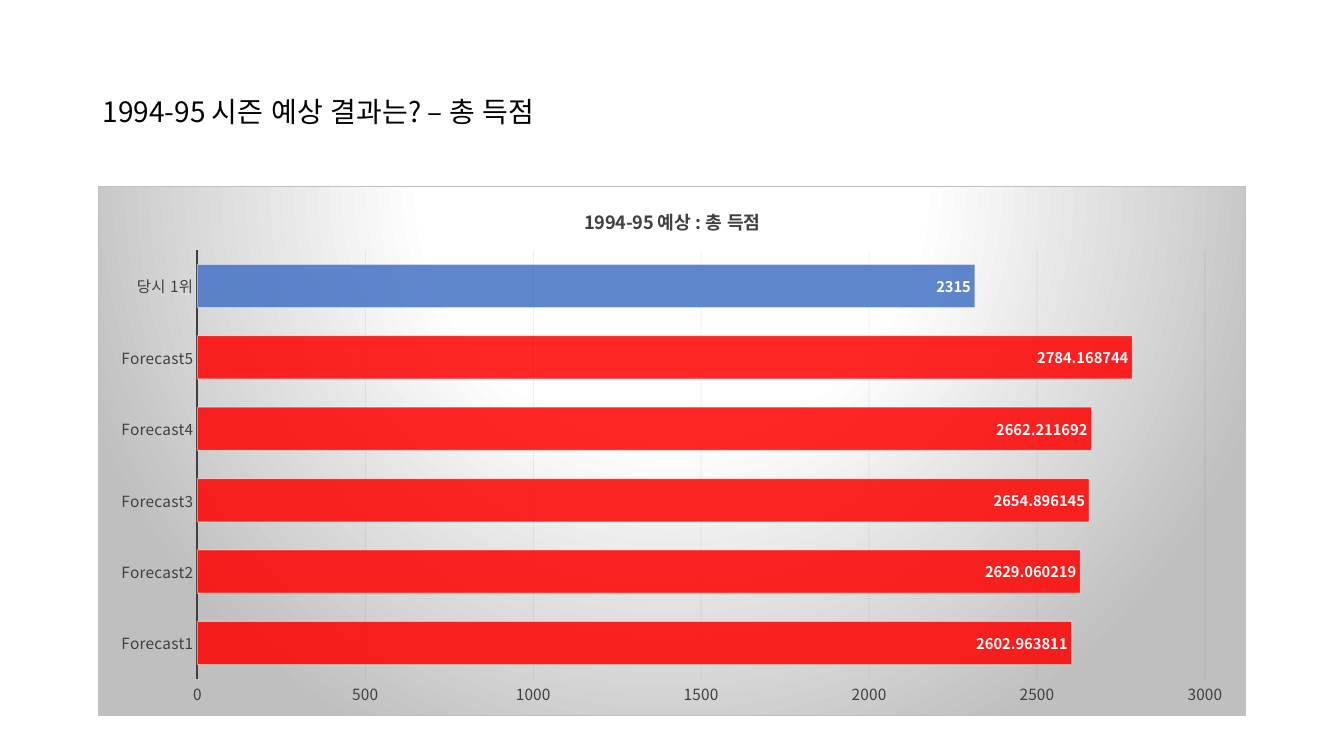
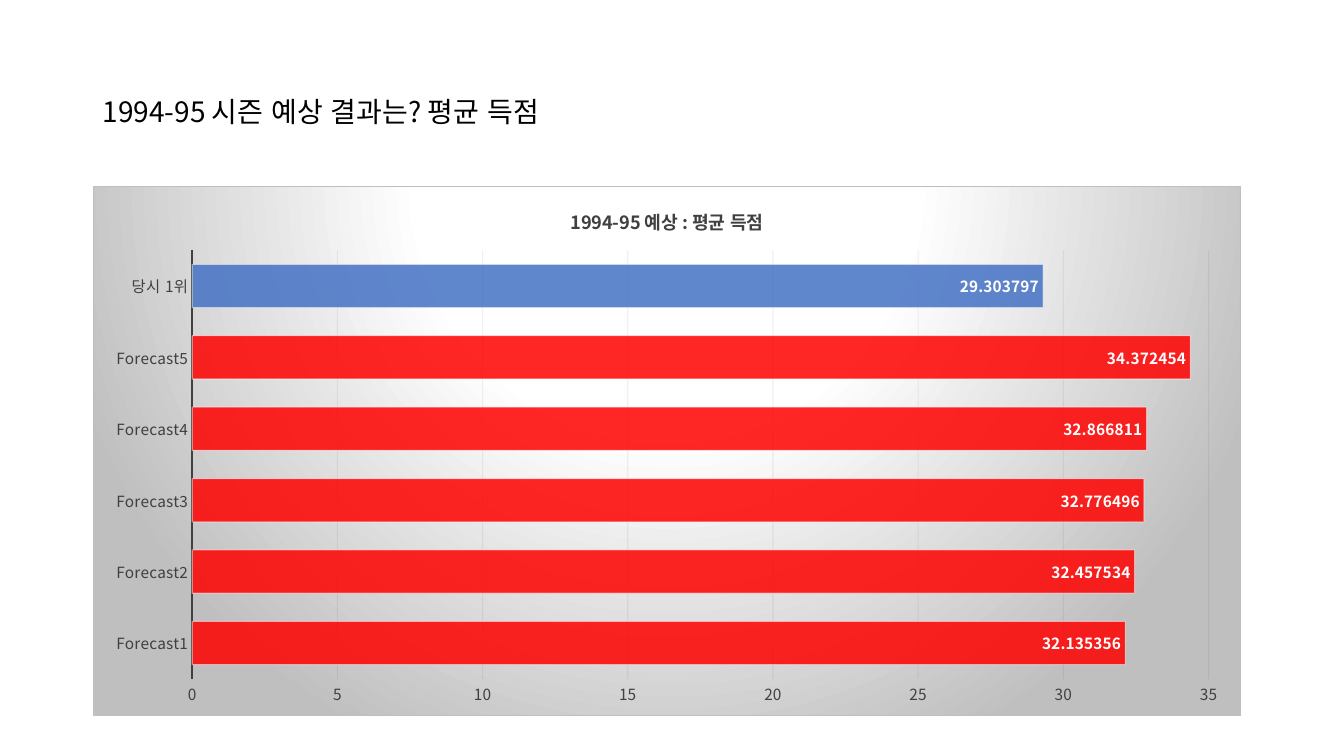
from lxml.etree import SubElement
from pptx import Presentation
from pptx.chart.data import CategoryChartData
from pptx.dml.color import RGBColor
from pptx.enum.chart import XL_CHART_TYPE, XL_LABEL_POSITION, XL_TICK_MARK
from pptx.enum.lang import MSO_LANGUAGE_ID
from pptx.enum.text import MSO_ANCHOR, PP_ALIGN
from pptx.oxml import parse_xml
from pptx.oxml.ns import nsdecls, qn
from pptx.util import Cm, Pt

FONT = "Noto Sans CJK KR"
BLACK, DARK_GREY, WHITE = "000000", "404040", "FFFFFF"
GRID, RED, BLUE = "0D0D0D", "FF0000", "4472C4"
CATEGORIES = ["Forecast1", "Forecast2", "Forecast3", "Forecast4", "Forecast5", "당시 1위"]

# Chart background: light from above, fading to grey
BACKGROUND = f"""<c:spPr {nsdecls("c", "a")}>
  <a:gradFill><a:gsLst>
    <a:gs pos="0"><a:srgbClr val="FFFFFF"/></a:gs>
    <a:gs pos="39000"><a:srgbClr val="FFFFFF"/></a:gs>
    <a:gs pos="100000"><a:srgbClr val="BFBFBF"/></a:gs>
  </a:gsLst><a:path path="circle">
    <a:fillToRect l="50000" t="-80000" r="50000" b="180000"/>
  </a:path></a:gradFill>
  <a:ln w="9525"><a:solidFill><a:srgbClr val="BFBFBF"/></a:solidFill></a:ln>
</c:spPr>"""

# title, chart title, chart left (cm), label size, axis maximum, axis step, values
SLIDES = [
    ("1994-95 시즌 예상 결과는? – 총 득점", "1994-95 예상 : 총 득점", 2.47, 10.5, 3000, 500,
     [2602.963811, 2629.060219, 2654.896145, 2662.211692, 2784.168744, 2315]),
    ("1994-95 시즌 예상 결과는? 평균 득점", "1994-95 예상 : 평균 득점", 2.34, 11, 35, 5,
     [32.135356, 32.457534, 32.776496, 32.866811, 34.372454, 29.303797]),
]


def set_font(font, size, color, bold=False):
    font.name = FONT
    font.size = Pt(size)
    font.bold = bold
    font.color.rgb = RGBColor.from_string(color)
    font.language_id = MSO_LANGUAGE_ID.KOREAN
    # Hangul takes its typeface from the East Asian slot
    latin = font._rPr.find(qn("a:latin"))
    latin.addnext(parse_xml(f'<a:ea {nsdecls("a")} typeface="{FONT}"/>'))


def paint(fill, color, opacity=100):
    fill.solid()
    fill.fore_color.rgb = RGBColor.from_string(color)
    if opacity < 100:
        color_element = fill._xPr.find(f'{qn("a:solidFill")}/{qn("a:srgbClr")}')
        SubElement(color_element, qn("a:alpha"), val=str(opacity * 1000))


presentation = Presentation()
presentation.slide_width = Cm(33.87)
presentation.slide_height = Cm(19.05)

for title, chart_title, left, label_size, maximum, step, values in SLIDES:
    slide = presentation.slides.add_slide(presentation.slide_layouts[5])

    # Slide title
    shape = slide.shapes.title
    shape.left, shape.top, shape.width, shape.height = Cm(2.33), Cm(1.01), Cm(29.21), Cm(3.68)
    shape.text_frame.vertical_anchor = MSO_ANCHOR.MIDDLE
    paragraph = shape.text_frame.paragraphs[0]
    paragraph.alignment = PP_ALIGN.LEFT
    paragraph.line_spacing = 0.9
    run = paragraph.add_run()
    run.text = title
    set_font(run.font, 20, BLACK)

    # Chart frame and heading
    data = CategoryChartData()
    data.categories = CATEGORIES
    data.add_series("Series 1", values)
    chart = slide.shapes.add_chart(
        XL_CHART_TYPE.BAR_CLUSTERED, Cm(left), Cm(4.69), Cm(28.93), Cm(13.35), data).chart
    set_font(chart.font, label_size, BLACK)
    chart._chartSpace.find(qn("c:chart")).addnext(parse_xml(BACKGROUND))
    chart.has_legend = False
    chart.has_title = True
    chart.chart_title.include_in_layout = False
    run = chart.chart_title.text_frame.paragraphs[0].add_run()
    run.text = chart_title
    set_font(run.font, 13, DARK_GREY, bold=True)

    # Axes
    for axis in (chart.category_axis, chart.value_axis):
        axis.major_tick_mark = axis.minor_tick_mark = XL_TICK_MARK.NONE
        set_font(axis.tick_labels.font, 11, DARK_GREY)
    chart.category_axis.format.line.width = Pt(1.5)
    paint(chart.category_axis.format.line.fill, DARK_GREY)
    value_axis = chart.value_axis
    value_axis.minimum_scale, value_axis.maximum_scale = 0, maximum
    value_axis.major_unit = step
    value_axis.format.line.fill.background()
    grid_line = value_axis.major_gridlines.format.line
    grid_line.width = Pt(0.75)
    paint(grid_line.fill, GRID, 6)

    # Bars: forecasts in red, the leader of the day in blue
    plot = chart.plots[0]
    plot.gap_width = 65
    plot.vary_by_categories = False
    series = plot.series[0]
    series.invert_if_negative = False
    last = len(values) - 1
    bars = [(series.format, RED), (series.points[last].format, BLUE)]
    for bar, color in bars:
        paint(bar.fill, color, 85)
        bar.line.width = Pt(0.75)
        paint(bar.line.fill, WHITE, 50)

    # Value labels
    labels = series.data_labels
    labels.show_value = True
    labels.position = XL_LABEL_POSITION.INSIDE_END
    set_font(labels.font, label_size, WHITE, bold=True)

presentation.save("out.pptx")
